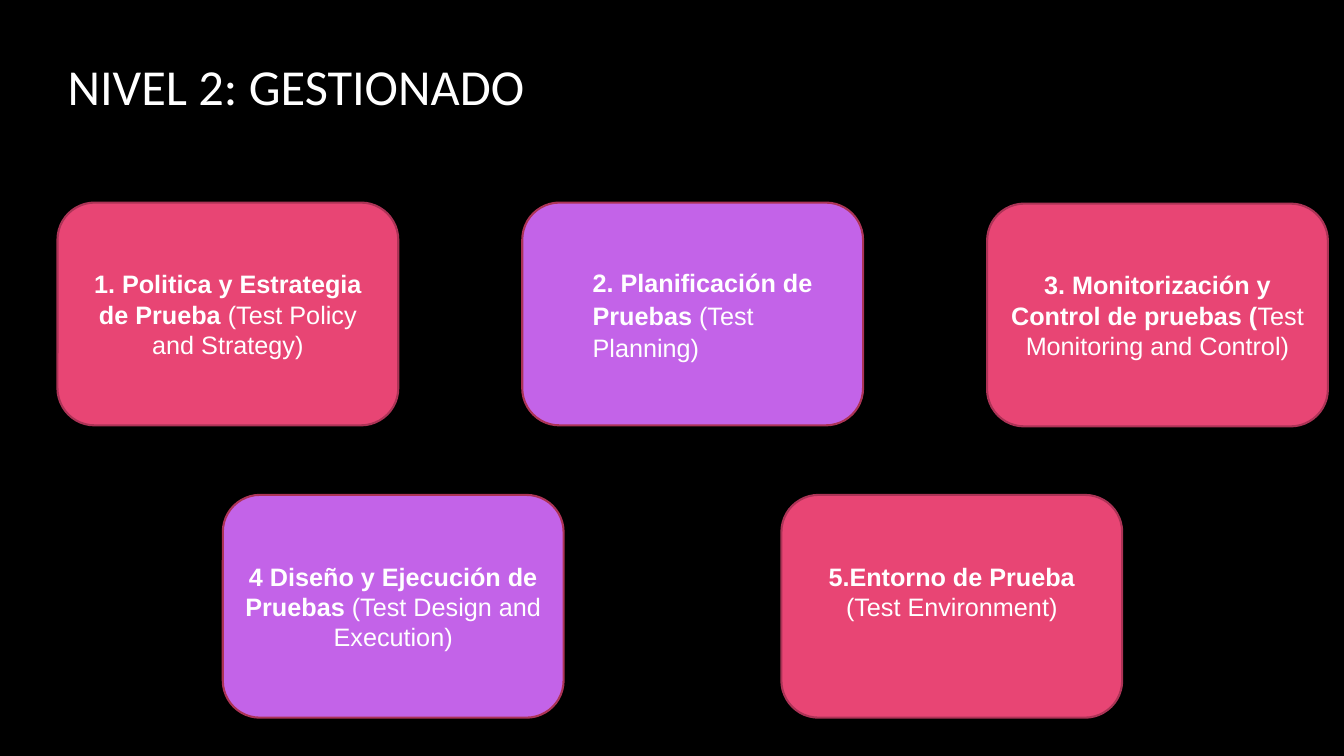
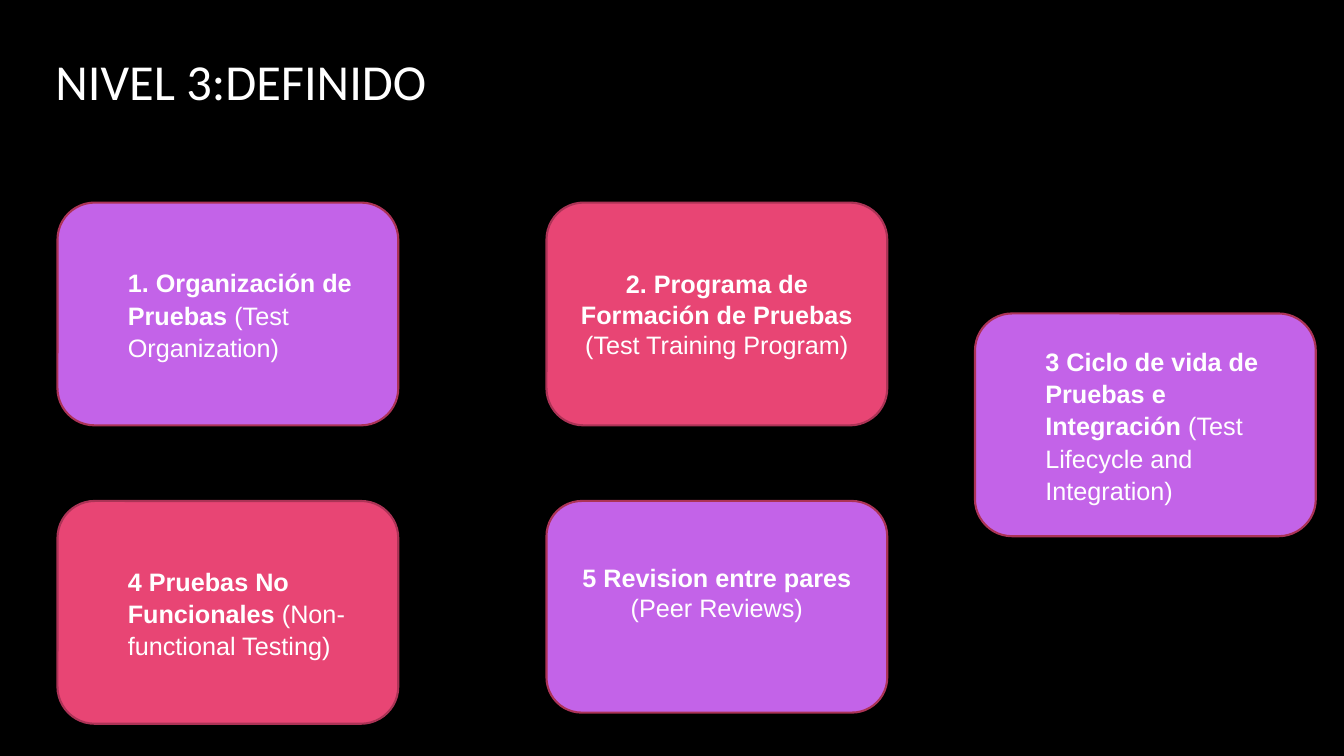
from dataclasses import dataclass

from pptx import Presentation
from pptx.dml.color import RGBColor
from pptx.enum.shapes import MSO_SHAPE as Shape
from pptx.enum.text import MSO_ANCHOR as Anchor, PP_ALIGN as Align
from pptx.util import Inches, Pt

BLACK = RGBColor(0x00, 0x00, 0x00)
WHITE = RGBColor(0xFF, 0xFF, 0xFF)
PINK = RGBColor(0xE8, 0x45, 0x74)
PURPLE = RGBColor(0xC3, 0x63, 0xE8)
EDGE = RGBColor(0xAC, 0x33, 0x56)

CARD_WIDTH, CARD_HEIGHT = 3.38, 2.21
LEFT, TOP = 0.57, 2.01
TEXT_SIZE = 18


@dataclass(frozen=True)
class Card:
    left: float
    top: float
    fill: RGBColor
    bold: str
    plain: str
    indent: bool = False
    raised: bool = False
    height: float = CARD_HEIGHT


@dataclass(frozen=True)
class Level:
    title: str
    left: float
    top: float
    cards: tuple[Card, ...]


LEVELS = (
    Level("NIVEL 2: GESTIONADO", 0.57, 0.05, (
        Card(LEFT, TOP, PINK, "1. Politica y Estrategia de Prueba",
             " (Test Policy and Strategy)"),
        Card(5.18, TOP, PURPLE, "2. Planificación de Pruebas",
             " (Test Planning)", indent=True),
        Card(9.79, 2.02, PINK, "3. Monitorización y Control de pruebas (",
             "Test Monitoring and Control)"),
        Card(2.21, 4.91, PURPLE, "4 Diseño y Ejecución de Pruebas",
             " (Test Design and Execution)"),
        Card(7.75, 4.91, PINK, "5.Entorno de Prueba",
             " (Test Environment)", raised=True),
    )),
    Level("NIVEL 3:DEFINIDO", 0.45, 0, (
        Card(LEFT, TOP, PURPLE, "1. Organización de Pruebas",
             " (Test Organization)", indent=True),
        Card(5.42, TOP, PINK, "2. Programa de Formación de Pruebas",
             " (Test Training Program)"),
        Card(9.67, 3.11, PURPLE, "3 Ciclo de vida de Pruebas e Integración",
             " (Test Lifecycle and Integration)", indent=True),
        Card(LEFT, 4.97, PINK, "4 Pruebas No Funcionales",
             " (Non-functional Testing)", indent=True),
        Card(5.42, 4.97, PURPLE, "5 Revision entre pares",
             " (Peer Reviews)", raised=True, height=2.1),
    )),
)


def style(font, name: str, size: float, bold: bool = False) -> None:
    font.name = name
    font.size = Pt(size)
    font.bold = bold
    font.color.rgb = WHITE


def add_title(slide, level: Level) -> None:
    title = slide.shapes.title
    title.left, title.top = Inches(level.left), Inches(level.top)
    title.width, title.height = Inches(11.08), Inches(1.59)
    frame = title.text_frame
    frame.text = level.title
    frame.vertical_anchor = Anchor.MIDDLE
    line = frame.paragraphs[0]
    line.alignment = Align.LEFT
    style(line.runs[0].font, "Calibri", 36)


def add_card(slide, card: Card) -> None:
    box = slide.shapes.add_shape(
        Shape.ROUNDED_RECTANGLE, Inches(card.left), Inches(card.top),
        Inches(CARD_WIDTH), Inches(card.height))
    box.shadow.inherit = False
    box.fill.solid()
    box.fill.fore_color.rgb = card.fill
    box.line.color.rgb = EDGE
    box.line.width = Pt(1.5)

    frame = box.text_frame
    frame.word_wrap = True
    frame.vertical_anchor = Anchor.MIDDLE
    if card.raised:
        frame.margin_bottom = Inches(0.34)
    line = frame.paragraphs[0]
    line.alignment = Align.CENTER
    if card.indent:
        line.alignment = Align.LEFT
        line.line_spacing = 1.07
        line.space_after = Pt(8)
        frame.margin_left = Inches(0.1 + 0.49)
    for text, bold in ((card.bold, True), (card.plain, False)):
        run = line.add_run()
        run.text = text
        style(run.font, "Arial", TEXT_SIZE, bold)


def main() -> None:
    deck = Presentation()
    deck.slide_width, deck.slide_height = Inches(13.33), Inches(7.5)
    back = deck.slide_master.background.fill
    back.solid()
    back.fore_color.rgb = BLACK
    layout = deck.slide_layouts.get_by_name("Title Only")
    for level in LEVELS:
        slide = deck.slides.add_slide(layout)
        add_title(slide, level)
        for card in level.cards:
            add_card(slide, card)
    deck.save("out.pptx")


if __name__ == "__main__":
    main()
